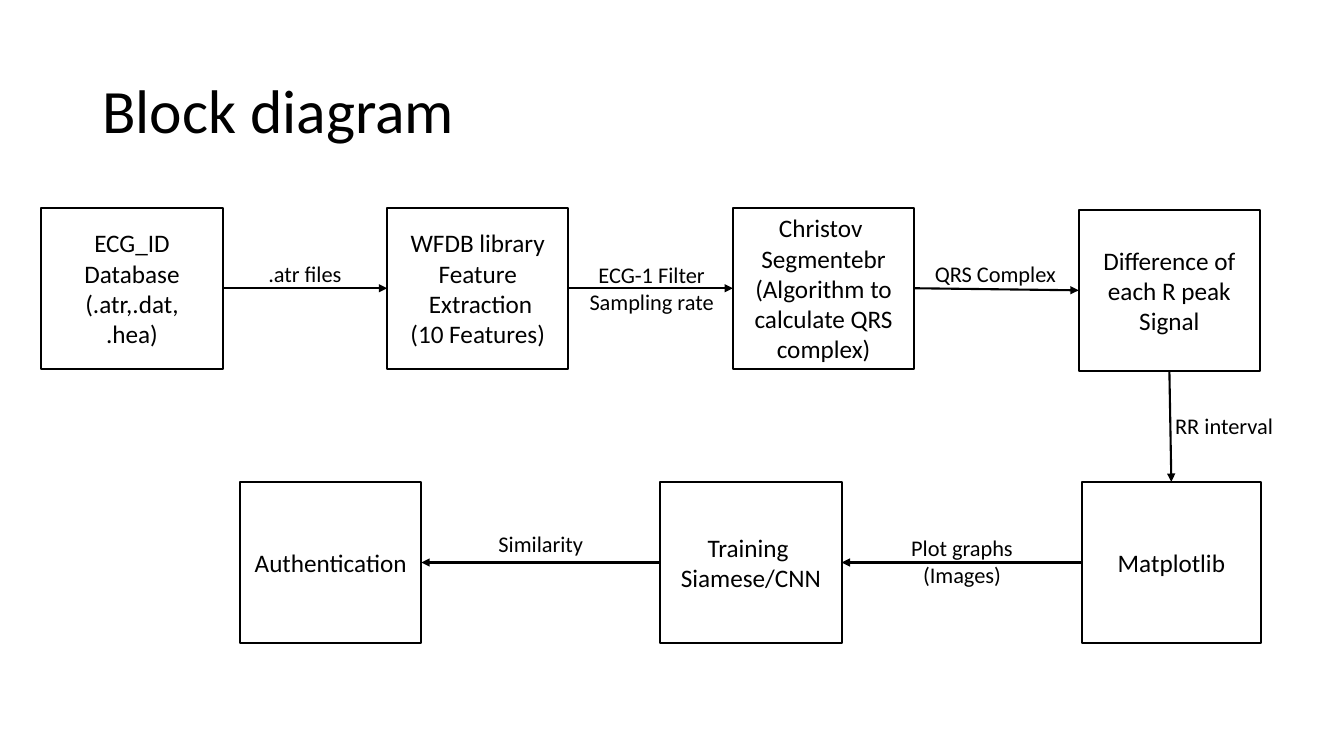
from lxml.etree import SubElement
from pptx import Presentation
from pptx.dml.color import RGBColor
from pptx.enum.shapes import MSO_CONNECTOR, MSO_SHAPE
from pptx.enum.text import MSO_ANCHOR, PP_ALIGN
from pptx.oxml.ns import qn
from pptx.util import Pt

BLACK = "000000"
WHITE = "FFFFFF"
TOP, LEFT, BOTTOM, RIGHT = range(4)


def color(value):
    return RGBColor.from_string(value)


class Diagram:
    font = "Calibri"
    line_width = 1.5
    block_size = 18
    label_size = 16

    def __init__(self, slide):
        self.shapes = slide.shapes

    def set_text(self, shape, text, size, align, anchor):
        frame = shape.text_frame
        frame.word_wrap = True
        frame.vertical_anchor = anchor
        frame.text = text
        for paragraph in frame.paragraphs:
            paragraph.alignment = align
            for run in paragraph.runs:
                run.font.name = self.font
                run.font.size = Pt(size)
                run.font.color.rgb = color(BLACK)

    def title(self, text, left, top, width, height):
        heading = self.shapes.add_textbox(Pt(left), Pt(top), Pt(width), Pt(height))
        self.set_text(heading, text, 44, PP_ALIGN.LEFT, MSO_ANCHOR.MIDDLE)
        heading.text_frame.paragraphs[0].line_spacing = 0.9

    def block(self, text, left, top, width=129.6, height=115.2):
        block = self.shapes.add_shape(
            MSO_SHAPE.RECTANGLE, Pt(left), Pt(top), Pt(width), Pt(height))
        block.shadow.inherit = False
        block.fill.solid()
        block.fill.fore_color.rgb = color(WHITE)
        block.line.color.rgb = color(BLACK)
        block.line.width = Pt(self.line_width)
        self.set_text(block, text, self.block_size, PP_ALIGN.CENTER, MSO_ANCHOR.MIDDLE)
        return block

    def label(self, text, left, top, width, height):
        label = self.shapes.add_textbox(Pt(left), Pt(top), Pt(width), Pt(height))
        self.set_text(label, text, self.label_size, PP_ALIGN.CENTER, MSO_ANCHOR.TOP)

    def arrow(self, source, source_side, target, target_side):
        arrow = self.shapes.add_connector(MSO_CONNECTOR.STRAIGHT, 0, 0, 0, 0)
        arrow.begin_connect(source, source_side)
        arrow.end_connect(target, target_side)
        arrow.line.color.rgb = color(BLACK)
        arrow.line.width = Pt(self.line_width)
        properties = arrow.element.spPr
        SubElement(properties.find(qn("a:ln")), qn("a:tailEnd"), type="triangle")
        SubElement(properties, qn("a:effectLst"))


def main():
    presentation = Presentation()
    presentation.slide_width = Pt(960)
    presentation.slide_height = Pt(540)
    diagram = Diagram(presentation.slides.add_slide(presentation.slide_layouts[6]))

    diagram.title("Block diagram", 66, 28.8, 828, 104.4)

    steps = [
        "ECG_ID\nDatabase\n(.atr,.dat,\n.hea)",
        "WFDB library\nFeature\n Extraction\n(10 Features)",
        "Christov \nSegmentebr\n(Algorithm to calculate QRS complex)",
    ]
    extraction = [diagram.block(text, 29.5 + 247 * column, 148.3)
                  for column, text in enumerate(steps)]
    difference = diagram.block("Difference of each R peak Signal", 770.5, 149.8)
    extraction.append(difference)

    matplotlib = diagram.block("Matplotlib", 772.6, 344.2, width=128.2)
    training = diagram.block("Training \nSiamese/CNN", 471.6, 344.2)
    authentication = diagram.block("Authentication", 171.4, 344.2)
    recognition = [matplotlib, training, authentication]

    for source, target in zip(extraction, extraction[1:]):
        diagram.arrow(source, RIGHT, target, LEFT)
    for source, target in zip(recognition, recognition[1:]):
        diagram.arrow(source, LEFT, target, RIGHT)
    diagram.arrow(difference, BOTTOM, matplotlib, TOP)

    labels = [
        (".atr files", 159.1, 182.2, 117.4, 46.1),
        ("ECG-1 Filter\nSampling rate", 412.6, 182.9, 105.8, 46.1),
        ("QRS Complex", 658.1, 182.2, 105.8, 26.6),
        ("RR interval", 821.5, 290.9, 105.8, 26.6),
        ("Plot graphs\n(Images)", 634.3, 378, 105.8, 65.5),
        ("Similarity", 333.4, 375.1, 105.8, 26.6),
    ]
    for label in labels:
        diagram.label(*label)

    presentation.save("out.pptx")


if __name__ == "__main__":
    main()
